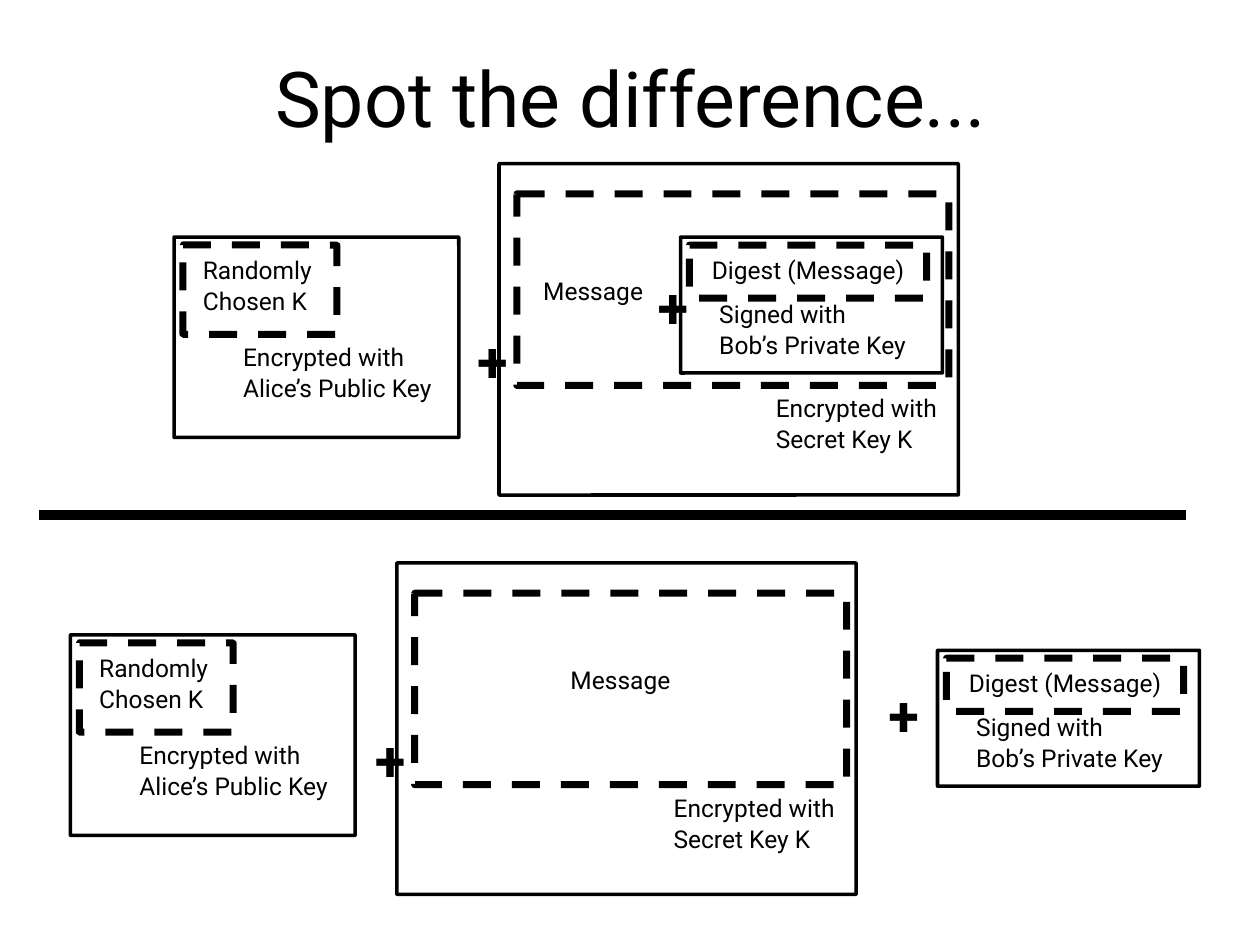
from dataclasses import dataclass

from lxml.etree import SubElement
from pptx import Presentation
from pptx.dml.color import RGBColor
from pptx.enum.dml import MSO_LINE
from pptx.enum.shapes import MSO_CONNECTOR, MSO_SHAPE
from pptx.enum.text import MSO_ANCHOR, MSO_AUTO_SIZE, PP_ALIGN
from pptx.oxml.ns import qn
from pptx.util import Cm, Pt


@dataclass(frozen=True)
class Theme:
    font: str = "Roboto"
    ink: RGBColor = RGBColor(0, 0, 0)
    title: int = 44
    body: int = 14
    plus: int = 32
    frame: float = 2
    dashed: float = 4
    divider: float = 5.67
    first_line: float = 1.01
    next_line: float = 1.06


THEME = Theme()

# Content: all lengths in cm
TITLE = "Spot the difference..."
TITLE_BOX = (1.93, 0.28, 21.59, 3.33)
DIVIDER = (0.79, 23.9, 10.39)  # left, right, y
PLUS_SIZE = (1.17, 1.63)

# Each envelope: frame size, dashed inner box and texts relative to the frame
ENVELOPES = {
    "key": {
        "size": (5.74, 4.04),
        "inner": (0.18, 0.16, 3.1, 1.8),
        "texts": [
            (["Randomly", "Chosen K"], (0.33, 0.23, 2.84, 1.47)),
            (["Encrypted with", "Alice’s Public Key"], (1.14, 1.98, 4.42, 1.47)),
        ],
    },
    "message": {
        "size": (9.26, 6.68),
        "inner": (0.36, 0.61, 8.71, 3.86),
        "texts": [
            (["Encrypted with", "Secret Key K"], (5.33, 4.5, 3.99, 1.47)),
        ],
    },
    "digest": {
        "size": (5.28, 2.74),
        "inner": (0.18, 0.16, 4.78, 1.07),
        "texts": [
            (["Digest (Message)"], (0.38, 0.23, 4.5, 0.86)),
            (["Signed with", "Bob’s Private Key"], (0.53, 1.12, 4.47, 1.47)),
        ],
    },
}

# Each scheme: envelope positions, message label and plus signs
SCHEMES = [
    {   # digest signed inside the encrypted message
        "envelopes": {"key": (3.51, 4.78), "message": (10.06, 3.3), "digest": (13.72, 4.78)},
        "message": (10.7, 5.43),
        "pluses": [(9.37, 6.45), (13.01, 5.36)],
    },
    {   # digest signed outside the encrypted message
        "envelopes": {"key": (1.42, 12.8), "message": (8, 11.35), "digest": (18.9, 13.11)},
        "message": (11.25, 13.28),
        "pluses": [(7.31, 14.48), (17.66, 13.59)],
    },
]


def add_text(slide, lines, box, size=THEME.body, bold=False):
    s = slide.shapes.add_textbox(*map(Cm, box))
    tf = s.text_frame
    tf.word_wrap = False
    tf.auto_size = MSO_AUTO_SIZE.SHAPE_TO_FIT_TEXT
    for i, line in enumerate(lines):
        p = tf.add_paragraph() if i else tf.paragraphs[0]
        p.text = line
        p.line_spacing = THEME.next_line if i else THEME.first_line
        p.font.name, p.font.size, p.font.bold = THEME.font, Pt(size), bold
        p.font.color.rgb = THEME.ink
    return s


def add_frame(slide, box, width, dash=None):
    s = slide.shapes.add_shape(MSO_SHAPE.ROUNDED_RECTANGLE, *map(Cm, box))
    s.adjustments[0] = 0.002
    s.shadow.inherit = False
    s.fill.background()
    s.line.color.rgb = THEME.ink
    s.line.width = Pt(width)
    if dash:
        s.line.dash_style = dash


def add_envelope(slide, envelope, left, top):
    def place(box):
        x, y, w, h = box
        return left + x, top + y, w, h

    for lines, box in envelope["texts"]:
        add_text(slide, lines, place(box))
    add_frame(slide, place(envelope["inner"]), THEME.dashed, MSO_LINE.DASH)
    add_frame(slide, (left, top, *envelope["size"]), THEME.frame)


def add_title(slide):
    tf = add_text(slide, [TITLE], TITLE_BOX, THEME.title).text_frame
    tf.auto_size = MSO_AUTO_SIZE.NONE
    tf.word_wrap = True
    tf.vertical_anchor = MSO_ANCHOR.MIDDLE
    tf.margin_left = tf.margin_right = tf.margin_top = tf.margin_bottom = 0
    tf.paragraphs[0].alignment = PP_ALIGN.CENTER


def add_divider(slide):
    left, right, y = map(Cm, DIVIDER)
    s = slide.shapes.add_connector(MSO_CONNECTOR.STRAIGHT, left, y, right, y)
    s.line.color.rgb = THEME.ink
    s.line.width = Pt(THEME.divider)
    SubElement(s._element.spPr, qn("a:effectLst"))


def main():
    prs = Presentation()
    prs.slide_width, prs.slide_height = Cm(25.4), Cm(19.05)
    slide = prs.slides.add_slide(prs.slide_layouts[6])

    add_title(slide)
    for scheme in SCHEMES:
        for name, (left, top) in scheme["envelopes"].items():
            add_envelope(slide, ENVELOPES[name], left, top)
        add_text(slide, ["Message"], (*scheme["message"], 2.59, 0.86))
        for corner in scheme["pluses"]:
            add_text(slide, ["+"], (*corner, *PLUS_SIZE), THEME.plus, bold=True)
    add_divider(slide)

    prs.save("out.pptx")


if __name__ == "__main__":
    main()
